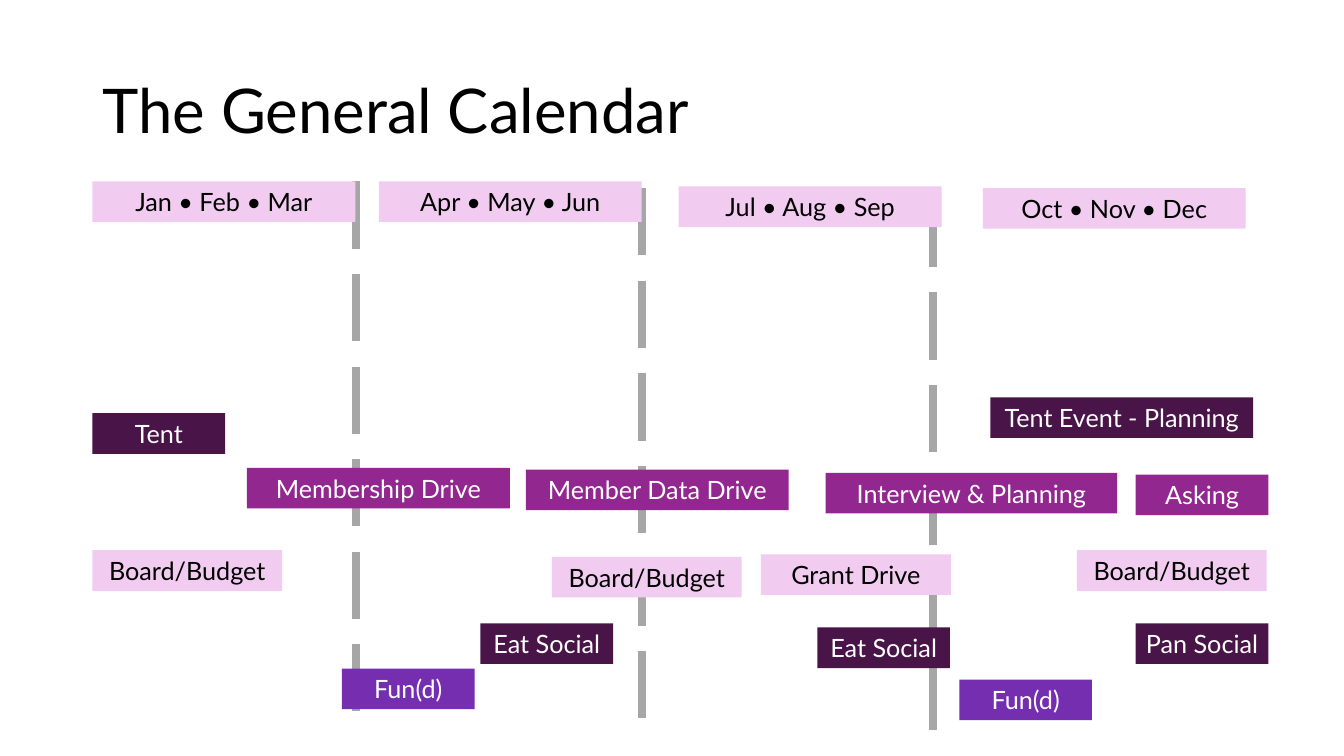
from dataclasses import dataclass

from lxml.etree import SubElement
from pptx import Presentation
from pptx.dml.color import RGBColor
from pptx.enum.dml import MSO_LINE_DASH_STYLE as Dash
from pptx.enum.shapes import MSO_CONNECTOR as Connector, MSO_SHAPE as Preset
from pptx.enum.text import MSO_ANCHOR as Anchor, MSO_AUTO_SIZE as AutoSize, PP_ALIGN as Align
from pptx.oxml.ns import qn
from pptx.slide import Slide
from pptx.text.text import TextFrame
from pptx.util import Inches, Pt

BLACK = RGBColor(0x00, 0x00, 0x00)
WHITE = RGBColor(0xFF, 0xFF, 0xFF)
GRAY = RGBColor(0xA6, 0xA6, 0xA6)
PINK = RGBColor(0xF1, 0xCC, 0xF0)
MAGENTA = RGBColor(0x92, 0x27, 0x8F)
PLUM = RGBColor(0x49, 0x14, 0x47)
VIOLET = RGBColor(0x76, 0x2E, 0xB1)

FONT = "Lato"
SLIDE_WIDTH, SLIDE_HEIGHT = Inches(13.33), Inches(7.5)
COLUMN, ROW = SLIDE_WIDTH / 160, SLIDE_HEIGHT / 90
QUARTER, HALF, SHORT = 31.3, 22.6, 15.8
BAR_ROWS = 4.84
DIVIDER_ROWS = 64.4


@dataclass(frozen=True)
class Bar:
    label: str
    column: float
    row: float
    columns: float
    fill: RGBColor


@dataclass(frozen=True)
class Divider:
    column: float
    row: float


DIVIDERS = [Divider(76.4, 22.4), Divider(111.1, 23.8), Divider(42.4, 21.6)]

QUARTERS = [
    Bar("Jan • Feb • Mar", 11, 21.6, QUARTER, PINK),
    Bar("Apr • May • Jun", 45.1, 21.6, QUARTER, PINK),
    Bar("Jul • Aug • Sep", 80.8, 22.2, QUARTER, PINK),
    Bar("Oct • Nov • Dec", 117, 22.4, QUARTER, PINK),
]

ACTIVITIES = [
    Bar("Tent", 11, 49.2, SHORT, PLUM),
    Bar("Tent Event - Planning", 117.9, 47.3, QUARTER, PLUM),
    Bar("Membership Drive", 29.4, 55.7, QUARTER, MAGENTA),
    Bar("Member Data Drive", 62.6, 55.9, QUARTER, MAGENTA),
    Bar("Interview & Planning", 98.3, 56.3, 34.7, MAGENTA),
    Bar("Asking", 135.2, 56.5, SHORT, MAGENTA),
    Bar("Board/Budget", 11, 65.5, HALF, PINK),
    Bar("Board/Budget", 65.7, 66.3, HALF, PINK),
    Bar("Grant Drive", 90.6, 66, HALF, PINK),
    Bar("Board/Budget", 128.2, 65.5, HALF, PINK),
    Bar("Eat Social", 57.2, 74.2, SHORT, PLUM),
    Bar("Eat Social", 97.3, 74.7, SHORT, PLUM),
    Bar("Pan Social", 135.2, 74.2, SHORT, PLUM),
    Bar("Fun(d)", 40.7, 79.6, SHORT, VIOLET),
    Bar("Fun(d)", 114.2, 80.9, SHORT, VIOLET),
]


def across(columns: float) -> int:
    return round(columns * COLUMN)


def down(rows: float) -> int:
    return round(rows * ROW)


def write(frame: TextFrame, text: str, *, size: float, color: RGBColor,
          align: Align, anchor: Anchor, spacing: float = 1.0) -> None:
    frame.word_wrap = True
    frame.auto_size = AutoSize.NONE
    frame.vertical_anchor = anchor
    para = frame.paragraphs[0]
    para.alignment = align
    para.line_spacing = spacing
    span = para.add_run()
    span.text = text
    span.font.name = FONT
    span.font.size = Pt(size)
    span.font.color.rgb = color


def draw_title(page: Slide, text: str) -> None:
    box = page.shapes.title
    box.left, box.top = across(11), down(4.8)
    box.width, box.height = across(138), down(17.4)
    write(box.text_frame, text, size=44, color=BLACK, align=Align.LEFT,
          anchor=Anchor.MIDDLE, spacing=0.9)


def draw_divider(page: Slide, divider: Divider) -> None:
    x = across(divider.column)
    connector = page.shapes.add_connector(
        Connector.STRAIGHT, x, down(divider.row), x, down(divider.row + DIVIDER_ROWS))
    connector.line.color.rgb = GRAY
    connector.line.width = Pt(6)
    connector.line.dash_style = Dash.LONG_DASH
    SubElement(connector._element.spPr, qn("a:effectLst"))


def draw_bar(page: Slide, bar: Bar) -> None:
    box = page.shapes.add_shape(
        Preset.RECTANGLE, across(bar.column), down(bar.row),
        across(bar.columns), down(BAR_ROWS))
    box.shadow.inherit = False
    box.fill.solid()
    box.fill.fore_color.rgb = bar.fill
    box.line.fill.background()
    write(box.text_frame, bar.label, size=18,
          color=BLACK if bar.fill == PINK else WHITE,
          align=Align.CENTER, anchor=Anchor.TOP)


def build() -> None:
    deck = Presentation()
    deck.slide_width, deck.slide_height = SLIDE_WIDTH, SLIDE_HEIGHT
    page = deck.slides.add_slide(deck.slide_layouts.get_by_name("Title Only"))
    draw_title(page, "The General Calendar")
    for divider in DIVIDERS:
        draw_divider(page, divider)
    for bar in QUARTERS + ACTIVITIES:
        draw_bar(page, bar)
    deck.save("out.pptx")


build()
